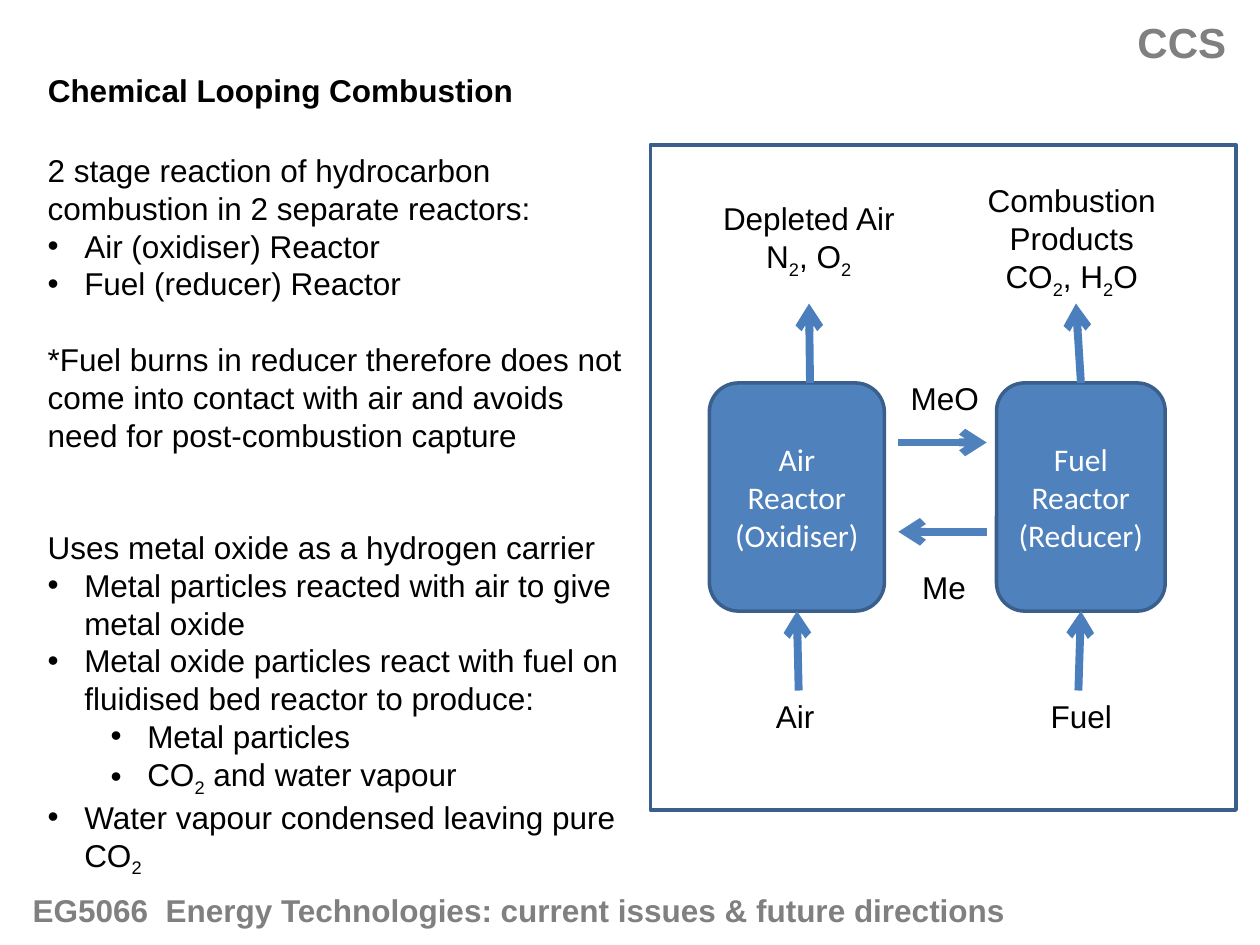
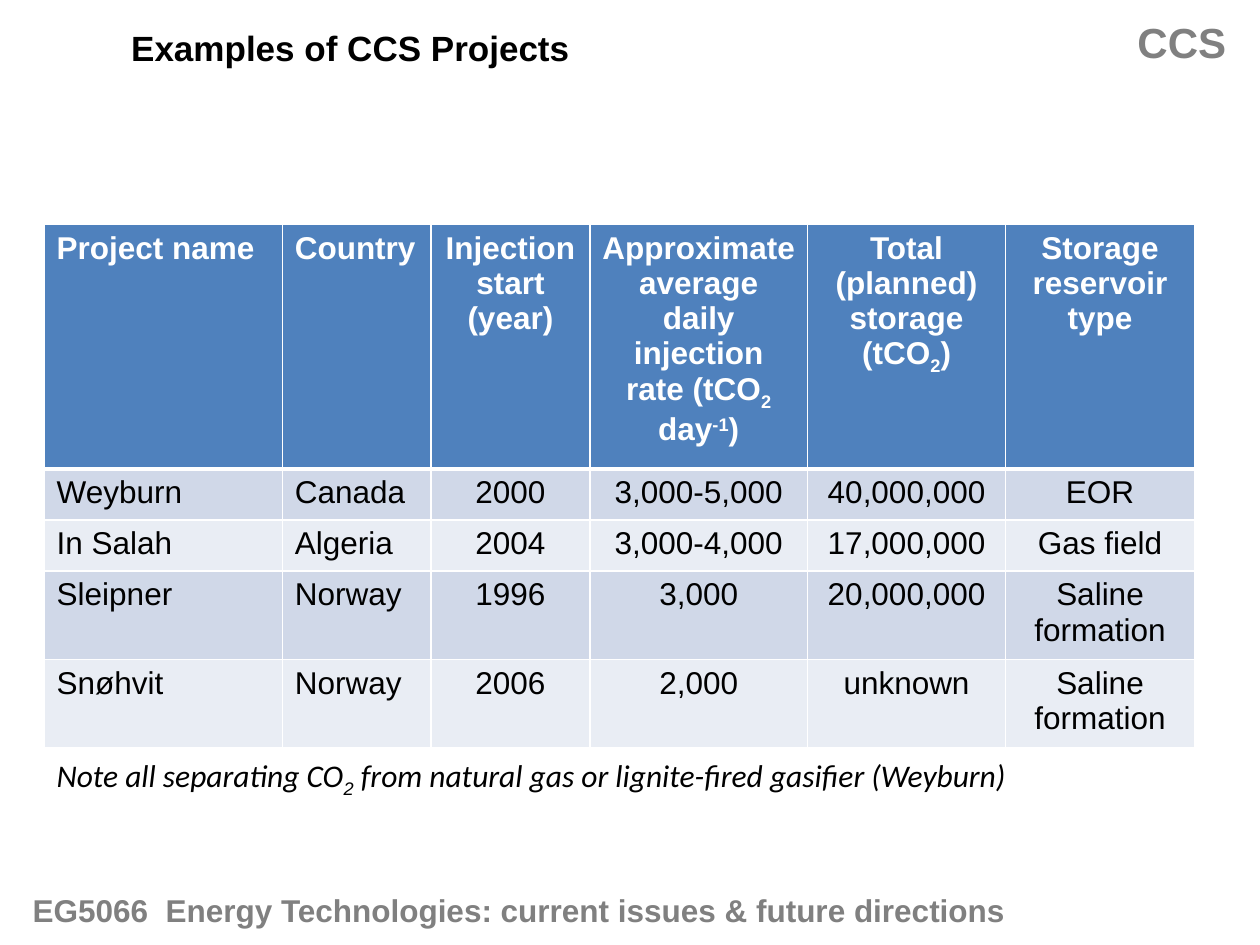
from dataclasses import dataclass
from typing import Optional

from lxml.etree import SubElement
from pptx import Presentation
from pptx.dml.color import RGBColor
from pptx.enum.shapes import MSO_CONNECTOR, MSO_SHAPE
from pptx.enum.text import MSO_ANCHOR, MSO_AUTO_SIZE, PP_ALIGN
from pptx.oxml.ns import qn
from pptx.util import Cm, Pt

COLOURS = {
    "text": "000000",
    "muted": "808080",
    "white": "FFFFFF",
    "blue": "4F81BD",
    "flow": "4B7EBC",
    "outline": "3A5F8C",
    "odd_row": "D0D8E8",
    "even_row": "E9EDF4",
}
BASELINES = {"_": "-25000", "^": "30000"}
BULLET_INDENTS = {1: 0.74, 2: 2.01}
TOP, BOTTOM = 0, 2
LINE_HEIGHT = 1.02


@dataclass(frozen=True)
class Box:
    left: float
    top: float
    width: float
    height: float

    def lengths(self) -> tuple:
        return Cm(self.left), Cm(self.top), Cm(self.width), Cm(self.height)


@dataclass(frozen=True)
class Label:
    box: Box
    lines: tuple
    wrap: bool = False
    centred: bool = False


@dataclass(frozen=True)
class Reactor:
    name: str
    role: str
    box: Box


@dataclass(frozen=True)
class Arrow:
    start: tuple
    end: tuple
    colour: str = "flow"
    start_join: Optional[tuple] = None
    end_join: Optional[tuple] = None


BODY_TEXTS = (
    Label(Box(0.71, 2.92, 12.19, 3.33), (
        "2 stage reaction of hydrocarbon combustion in 2 separate reactors:",
        (1, "Air (oxidiser) Reactor"),
        (1, "Fuel (reducer) Reactor"),
    ), wrap=True),
    Label(Box(0.71, 6.73, 12.19, 2.57), (
        "*Fuel burns in reducer therefore does not come into contact with air "
        "and avoids need for post-combustion capture",
    ), wrap=True),
    Label(Box(0.71, 10.52, 13.21, 7.19), (
        "Uses metal oxide as a hydrogen carrier",
        (1, "Metal particles reacted with air to give metal oxide"),
        (1, "Metal oxide particles react with fuel on fluidised bed reactor to produce:"),
        (2, "Metal particles"),
        (2, "CO|_2| and water vapour"),
        (1, "Water vapour condensed leaving pure CO|_2"),
    ), wrap=True),
)
DIAGRAM_FRAME = Box(13.11, 2.92, 11.81, 13.41)
REACTORS = (
    Reactor("Air", "(Oxidiser)", Box(14.3, 7.72, 3.53, 4.6)),
    Reactor("Fuel", "(Reducer)", Box(20.09, 7.72, 3.4, 4.6)),
)
STREAM_LABELS = (
    Label(Box(18.11, 7.52, 1.9, LINE_HEIGHT), ("MeO",)),
    Label(Box(18.34, 11.33, 1.4, LINE_HEIGHT), ("Me",)),
    Label(Box(14.3, 3.89, 4.01, 1.8), ("Depleted Air", "N|_2|, O|_2"), centred=True),
    Label(Box(19.51, 3.53, 4.19, 2.57), ("Combustion Products", "CO|_2|, H|_2|O"),
          wrap=True, centred=True),
    Label(Box(15.39, 13.92, 1.3, LINE_HEIGHT), ("Air",)),
    Label(Box(20.93, 13.92, 1.75, LINE_HEIGHT), ("Fuel",)),
)
ARROWS = (
    Arrow((18.11, 8.92), (19.89, 8.92), "blue"),
    Arrow((19.89, 10.72), (18.11, 10.72), "blue"),
    Arrow((16.1, 13.92), (16.07, 12.32), end_join=("Air", BOTTOM)),
    Arrow((21.74, 13.92), (21.79, 12.32), end_join=("Fuel", BOTTOM)),
    Arrow((16.33, 7.72), (16.31, 6.12)),
    Arrow((21.79, 7.72), (21.69, 6.12), start_join=("Fuel", TOP)),
)
COLUMN_WIDTHS = (4.8, 3, 3.2, 4.39, 3.99, 3.81)
ROW_HEIGHTS = (4.57, 1.03, 1.03, 1.68, 1.68)
PROJECTS = (
    ("Project name", "Country", "Injection start (year)",
     "Approximate average daily injection rate (tCO|_2| day|^-1|)",
     "Total (planned) storage (tCO|_2|)", "Storage reservoir type"),
    ("Weyburn", "Canada", "2000", "3,000-5,000", "40,000,000", "EOR"),
    ("In Salah", "Algeria", "2004", "3,000-4,000", "17,000,000", "Gas field"),
    ("Sleipner", "Norway", "1996", "3,000", "20,000,000", "Saline formation"),
    ("Snøhvit", "Norway", "2006", "2,000", "unknown", "Saline formation"),
)


def colour(name: str) -> RGBColor:
    return RGBColor.from_string(COLOURS[name])


def add_bullet(paragraph, level: int) -> None:
    paragraph.level = level - 1
    properties = paragraph._p.get_or_add_pPr()
    properties.set("marL", str(Cm(BULLET_INDENTS[level])))
    properties.set("indent", str(-Cm(BULLET_INDENTS[1])))
    SubElement(properties, qn("a:buFont"), typeface="Arial")
    SubElement(properties, qn("a:buChar"), char="•")


def write_text(frame, lines, *, size=18, font="Arial", script_font=None, color="text",
               bold=False, italic=False, align=PP_ALIGN.LEFT) -> None:
    for index, line in enumerate(lines):
        paragraph = frame.add_paragraph() if index else frame.paragraphs[0]
        paragraph.alignment = align
        level, text = line if isinstance(line, tuple) else (0, line)
        if level:
            add_bullet(paragraph, level)
        for piece in filter(None, text.split("|")):
            baseline = BASELINES.get(piece[0])
            run = paragraph.add_run()
            run.text = piece[1:] if baseline else piece
            run.font.name = script_font if baseline and script_font else font
            run.font.size = Pt(size)
            run.font.bold = bold
            run.font.italic = italic
            run.font.color.rgb = colour(color)
            if baseline:
                run.font._element.set("baseline", baseline)


def add_text(slide, box: Box, lines, wrap=False, **text_format):
    shape = slide.shapes.add_textbox(*box.lengths())
    shape.text_frame.word_wrap = wrap
    shape.text_frame.auto_size = MSO_AUTO_SIZE.SHAPE_TO_FIT_TEXT
    write_text(shape.text_frame, lines, **text_format)
    return shape


def add_label(slide, label: Label) -> None:
    align = PP_ALIGN.CENTER if label.centred else PP_ALIGN.LEFT
    add_text(slide, label.box, label.lines, wrap=label.wrap, align=align)


def add_course_slide(presentation, title: str, box: Box, title_size: int):
    slide = presentation.slides.add_slide(presentation.slide_layouts[5])
    shape = slide.shapes.title
    shape.left, shape.top, shape.width, shape.height = box.lengths()
    frame = shape.text_frame
    frame.word_wrap = False
    frame.auto_size = MSO_AUTO_SIZE.NONE
    frame.vertical_anchor = MSO_ANCHOR.TOP
    write_text(frame, [title], size=title_size, bold=True)
    footer = add_text(slide, Box(0.41, 17.83, 21.82, LINE_HEIGHT),
                      ["EG5066\tEnergy Technologies: current issues & future directions"],
                      wrap=True, color="muted", bold=True)
    properties = footer.text_frame.paragraphs[0]._p.get_or_add_pPr()
    tabs = SubElement(properties, qn("a:tabLst"))
    SubElement(tabs, qn("a:tab"), pos=str(Cm(2.68)), algn="l")
    add_text(slide, Box(22.68, 0.2, 2.31, 1.27), ["CCS"], size=24, color="muted", bold=True)
    return slide


def add_outlined_shape(slide, kind, box: Box, fill: str):
    shape = slide.shapes.add_shape(kind, *box.lengths())
    shape.shadow.inherit = False
    shape.fill.solid()
    shape.fill.fore_color.rgb = colour(fill)
    shape.line.color.rgb = colour("outline")
    shape.line.width = Pt(2)
    return shape


def add_reactor(slide, reactor: Reactor):
    shape = add_outlined_shape(slide, MSO_SHAPE.ROUNDED_RECTANGLE, reactor.box, "blue")
    shape.text_frame.word_wrap = True
    shape.text_frame.vertical_anchor = MSO_ANCHOR.MIDDLE
    write_text(shape.text_frame, [f"{reactor.name} Reactor", reactor.role],
               font="Calibri", color="white", align=PP_ALIGN.CENTER)
    return shape


def add_arrow(slide, arrow: Arrow, reactors: dict) -> None:
    points = [Cm(value) for value in arrow.start + arrow.end]
    connector = slide.shapes.add_connector(MSO_CONNECTOR.STRAIGHT, *points)
    if arrow.start_join:
        name, side = arrow.start_join
        connector.begin_connect(reactors[name], side)
    if arrow.end_join:
        name, side = arrow.end_join
        connector.end_connect(reactors[name], side)
    connector.line.color.rgb = colour(arrow.colour)
    connector.line.width = Pt(4.5)
    SubElement(connector.line._get_or_add_ln(), qn("a:tailEnd"), type="arrow")
    SubElement(connector._element.spPr, qn("a:effectLst"))


def add_cell_borders(cell, bottom_width: float) -> None:
    properties = cell._tc.get_or_add_tcPr()
    for side, width in (("L", 1), ("R", 1), ("T", 1), ("B", bottom_width)):
        line = SubElement(properties, qn(f"a:ln{side}"), w=str(Pt(width)))
        SubElement(SubElement(line, qn("a:solidFill")), qn("a:srgbClr"), val=COLOURS["white"])


def add_project_table(slide) -> None:
    box = Box(0.89, 4.52, sum(COLUMN_WIDTHS), sum(ROW_HEIGHTS))
    table = slide.shapes.add_table(len(PROJECTS), len(COLUMN_WIDTHS), *box.lengths()).table
    for column, width in zip(table.columns, COLUMN_WIDTHS):
        column.width = Cm(width)
    for row, height in zip(table.rows, ROW_HEIGHTS):
        row.height = Cm(height)
    for row_index, project in enumerate(PROJECTS):
        header = row_index == 0
        fill = "blue" if header else "odd_row" if row_index % 2 else "even_row"
        for column_index, value in enumerate(project):
            cell = table.cell(row_index, column_index)
            add_cell_borders(cell, 3 if header else 1)
            cell.fill.solid()
            cell.fill.fore_color.rgb = colour(fill)
            write_text(cell.text_frame, [value], bold=header,
                       color="white" if header else "text",
                       align=PP_ALIGN.LEFT if column_index < 2 else PP_ALIGN.CENTER)


def build_looping_slide(presentation) -> None:
    slide = add_course_slide(presentation, "Chemical Looping Combustion",
                             Box(0.71, 1.3, 9.98, LINE_HEIGHT), 18)
    for label in BODY_TEXTS:
        add_label(slide, label)
    add_outlined_shape(slide, MSO_SHAPE.RECTANGLE, DIAGRAM_FRAME, "white")
    reactors = {reactor.name: add_reactor(slide, reactor) for reactor in REACTORS}
    for label in STREAM_LABELS:
        add_label(slide, label)
    for arrow in ARROWS:
        add_arrow(slide, arrow, reactors)


def build_projects_slide(presentation) -> None:
    slide = add_course_slide(presentation, "Examples of CCS Projects",
                             Box(2.39, 0.41, 9.42, 1.12), 20)
    add_project_table(slide)
    add_text(slide, Box(0.89, 15.11, 20.02, LINE_HEIGHT),
             ["Note all separating CO|_2| from natural gas or lignite-fired gasifier (Weyburn)"],
             font="Calibri", script_font="Arial", italic=True)


def main() -> None:
    presentation = Presentation()
    presentation.slide_width = Cm(25.4)
    presentation.slide_height = Cm(19.05)
    build_looping_slide(presentation)
    build_projects_slide(presentation)
    presentation.save("out.pptx")


if __name__ == "__main__":
    main()
